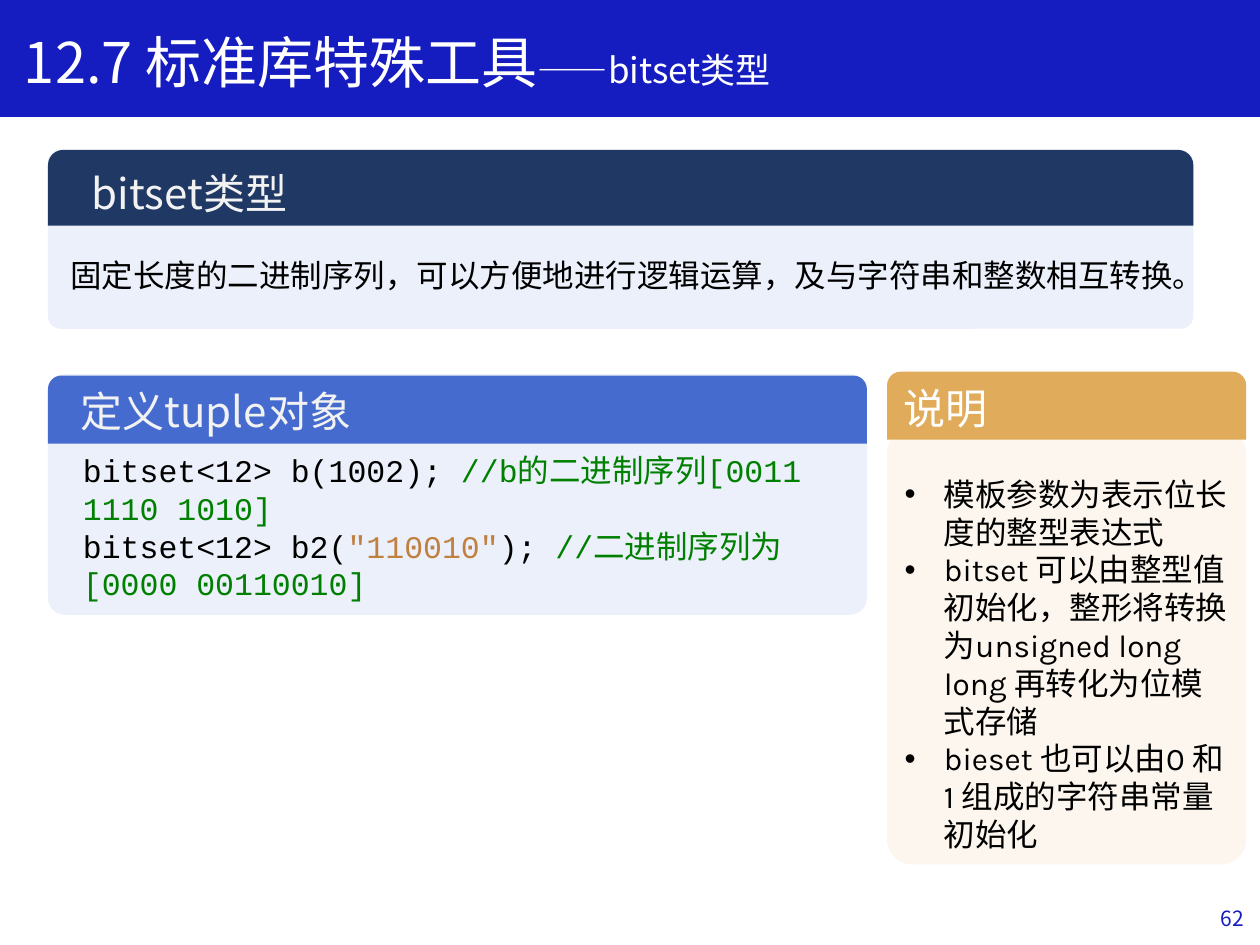
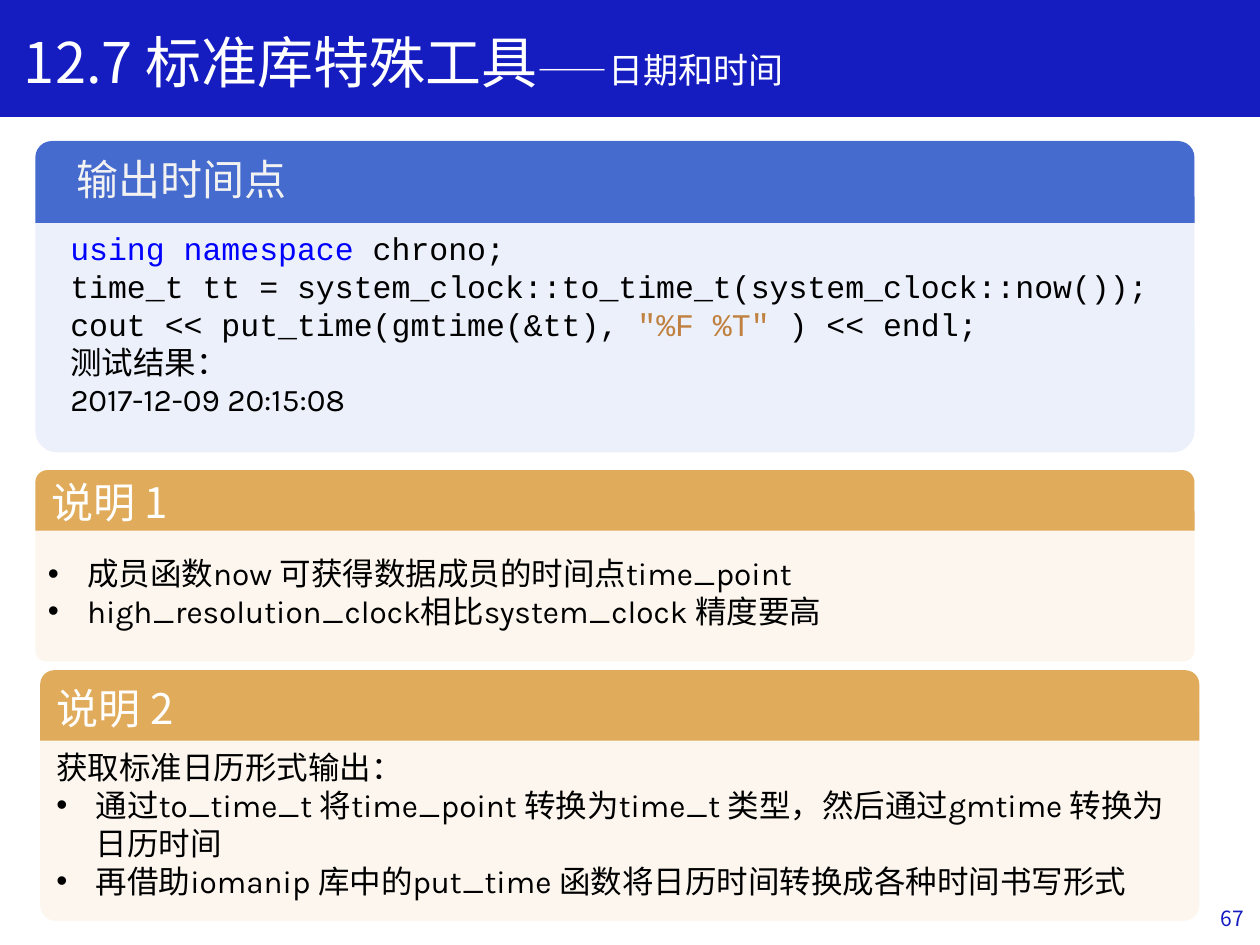
from lxml import etree
from pptx import Presentation
from pptx.dml.color import RGBColor
from pptx.enum.shapes import MSO_SHAPE
from pptx.enum.text import MSO_ANCHOR, MSO_AUTO_SIZE, PP_ALIGN
from pptx.oxml.ns import qn
from pptx.util import Pt

RECT = MSO_SHAPE.RECTANGLE
ROUND = MSO_SHAPE.ROUNDED_RECTANGLE
TAB = MSO_SHAPE.ROUND_2_SAME_RECTANGLE
TOP, MID = MSO_ANCHOR.TOP, MSO_ANCHOR.MIDDLE
LEFT, RIGHT = PP_ALIGN.LEFT, PP_ALIGN.RIGHT
FIXED = MSO_AUTO_SIZE.NONE

NOTO, KARLA, CODE = "Noto Sans CJK SC", "Karla", "Courier New"
WHITE, BLACK, PALE = "FFFFFF", "000000", "F2F2F2"
ROYAL, NAVY, BLUE, GOLD = "151DC1", "203864", "456BCF", "E0AB5B"
ICE, CREAM = "ECF0FA", "FCF6EE"
GREEN = {"hue": "008000"}
BROWN = {"hue": "C08040"}
KEY = {"hue": "0000FF"}


def paint(fill, hue):
    fill.solid()
    fill.fore_color.rgb = RGBColor.from_string(hue)


def write(shape, paras, anchor=TOP, align=LEFT, **look):
    frame = shape.text_frame
    frame.word_wrap = True
    frame.auto_size = FIXED
    frame.vertical_anchor = anchor
    for i, runs in enumerate(paras):
        para = frame.add_paragraph() if i else frame.paragraphs[0]
        para.alignment = align
        runs = [runs] if isinstance(runs, str) else runs
        if runs[0][0] == "•":
            runs = [runs[0][1:]]
            props = para._p.get_or_add_pPr()
            props.set("marL", str(Pt(22.5)))
            props.set("indent", str(-Pt(22.5)))
            etree.SubElement(props, qn("a:buFont")).set("typeface", "Arial")
            etree.SubElement(props, qn("a:buChar")).set("char", "•")
        for item in runs:
            words, extra = (item, {}) if isinstance(item, str) else item
            style = {"size": 18, "hue": BLACK, "font": NOTO} | look | extra
            run = para.add_run()
            run.text = words
            run.font.size = Pt(style["size"])
            run.font.name = style["font"]
            paint(run.font.fill, style["hue"])
            east = etree.SubElement(run.font._element, qn("a:ea"))
            east.set("typeface", NOTO)


pages = [
    {
        "topic": "bitset类型",
        "num": "62",
        "cards": [
            (27.4, 468, 214.6, 38.9, 213.8, 137.5, BLUE, ICE,
             "定义tuple对象", (38.9, 216.7, 350, 36)),
            (506.9, 205.2, 212.4, 38.9, 244.8, 249.1, GOLD, CREAM,
             "说明", None),
            (27.4, 654.5, 85.7, 43.2, 85.7, 102.2, NAVY, ICE,
             "bitset类型", (45.4, 92.2, 489, 36)),
        ],
        "texts": [
            ((33.1, 142.6, 654.5, 28.8), NOTO, [
                "固定长度的二进制序列，可以方便地进行逻辑运算，及与字符串和整数相互转换。",
            ]),
            ((40.3, 254.2, 462.2, 51.1), CODE, [
                ["bitset<12> b(1002); ",
                 ("//b的二进制序列[0011 1110 1010]", GREEN)],
                ["bitset<12> b2(", ('"110010"', BROWN), "); ",
                 ("//二进制序列为[0000 00110010]", GREEN)],
            ]),
            ((509.8, 267.8, 200.2, 203.8), KARLA, [
                "•模板参数为表示位长度的整型表达式",
                "•bitset 可以由整型值初始化，整形将转换为unsigned long long 再转化为位模式存储",
                "•bieset 也可以由0 和1 组成的字符串常量初始化",
            ]),
        ],
    },
    {
        "topic": "日期和时间",
        "num": "67",
        "cards": [
            (20.2, 662.4, 268.6, 34.6, 285.8, 92.2, GOLD, CREAM,
             "说明 1", None),
            (20.2, 662.4, 80.6, 46.8, 79.9, 178.6, BLUE, ICE,
             "输出时间点", (36.7, 84.2, 495.4, 36)),
            (23, 662.4, 383, 40.3, 396.7, 129.6, GOLD, CREAM,
             "说明 2", None),
        ],
        "texts": [
            ((33.1, 127.4, 650.2, 116.6), CODE, [
                [("using namespace ", KEY), "chrono;"],
                "time_t tt = system_clock::to_time_t(system_clock::now());",
                ["cout << put_time(gmtime(&tt), ", ('"%F %T" ', BROWN),
                 ") << endl;"],
                "测试结果：",
                [("2017-12-09 20:15:08", {"font": KARLA})],
            ]),
            ((20.2, 313.2, 486, 51.1), KARLA, [
                "•成员函数now 可获得数据成员的时间点time_point",
                "•high_resolution_clock相比system_clock 精度要高",
            ]),
            ((25.2, 424.1, 657.4, 94.3), KARLA, [
                "获取标准日历形式输出：",
                "•通过to_time_t 将time_point 转换为time_t 类型，然后通过gmtime 转换为日历时间",
                "•再借助iomanip 库中的put_time 函数将日历时间转换成各种时间书写形式",
            ]),
        ],
    },
]

deck = Presentation()
deck.slide_width, deck.slide_height = Pt(720), Pt(540)

for page in pages:
    slide = deck.slides.add_slide(deck.slide_layouts[5])
    shapes = slide.shapes

    band = shapes.add_shape(RECT, 0, 0, Pt(720), Pt(66.2))
    band.shadow.inherit = False
    paint(band.fill, ROYAL)
    paint(band.line.fill, ROYAL)
    band.line.width = Pt(1)
    title = shapes.title
    title.element.addprevious(band.element)
    title.left, title.top = Pt(6.5), Pt(12.2)
    title.width, title.height = Pt(559.4), Pt(46.1)
    write(title, [["12.7 标准库特殊工具", ("——" + page["topic"], {"size": 20})]],
          size=32, hue=WHITE)

    for x, wide, top, high, low, deep, dark, light, name, spot in page["cards"]:
        for kind, y, tall, hue in ((ROUND, low, deep, light),
                                   (TAB, top, high, dark)):
            part = shapes.add_shape(kind, Pt(x), Pt(y), Pt(wide), Pt(tall))
            part.shadow.inherit = False
            paint(part.fill, hue)
            part.line.fill.background()
            part.adjustments[0] = 0.07 if kind == ROUND else 0.2
        if spot:
            label = shapes.add_textbox(*map(Pt, spot))
            write(label, [name], size=24, hue=PALE)
        else:
            write(part, [name], anchor=MID, size=24, hue=WHITE)

    for spot, font, paras in page["texts"]:
        write(shapes.add_textbox(*map(Pt, spot)), paras, font=font)

    foot = shapes.add_textbox(Pt(555.8), Pt(510.5), Pt(162), Pt(28.8))
    write(foot, [page["num"]], anchor=MID, align=RIGHT, size=12, hue=ROYAL)

deck.save("out.pptx")
